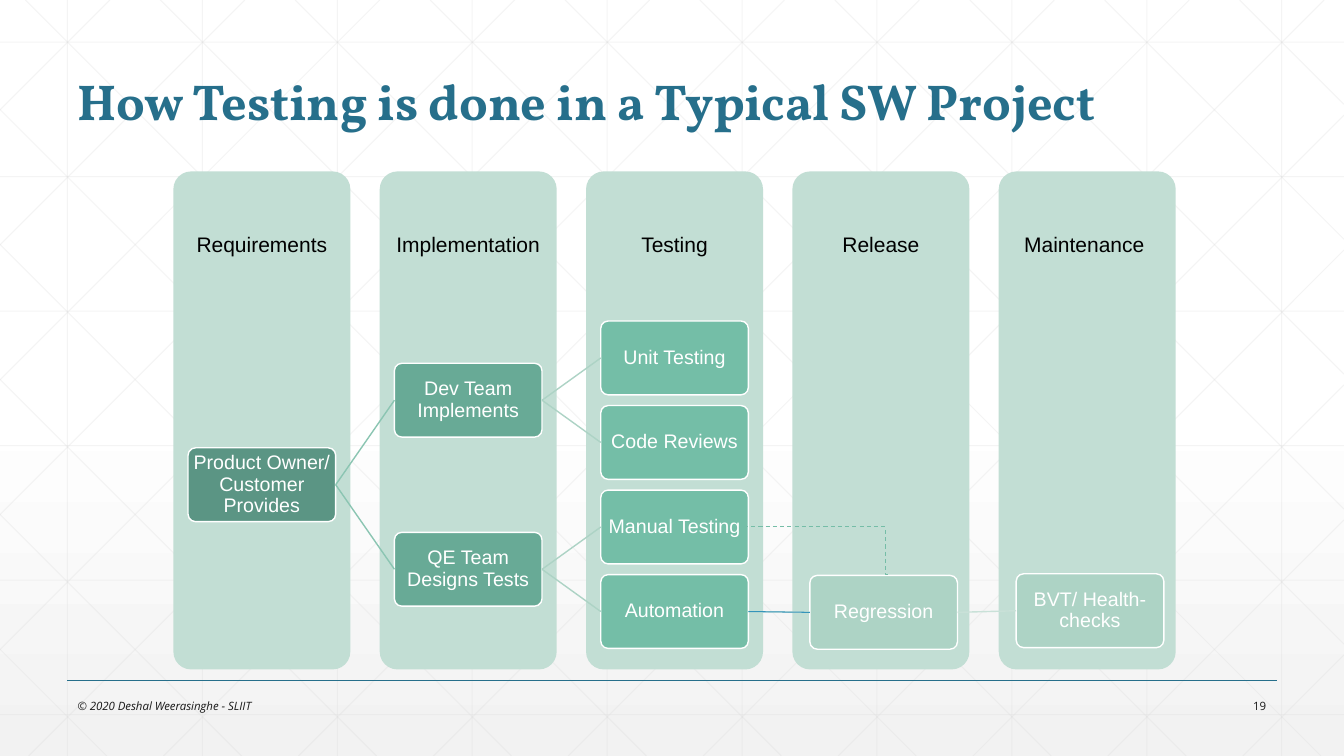
from dataclasses import dataclass

from lxml.etree import SubElement
from pptx import Presentation
from pptx.dml.color import RGBColor
from pptx.enum.dml import MSO_LINE
from pptx.enum.shapes import MSO_CONNECTOR, MSO_SHAPE
from pptx.enum.text import MSO_ANCHOR, PP_ALIGN
from pptx.oxml.ns import qn
from pptx.shapes.autoshape import Shape
from pptx.shapes.connector import Connector
from pptx.slide import Slide
from pptx.util import Cm, Pt

WIDE, HIGH = 33.87, 19.05
STEP = 3.4
TOP, SIDE = 1, 3
LEFT, PITCH = 4.37, 5.2
COL_W, COL_H, COL_TOP = 4.46, 12.55, 4.32
HEAD_H = 3.76
NODE_W, NODE_H = 3.72, 1.86
NODE_LEFT, NODE_TOP, ROW = 4.74, 8.09, 2.13

COLORS = {
    "white": "FFFFFF",
    "black": "000000",
    "fade": "F2F2F2",
    "grid": "D8D8D8",
    "title": "266F8B",
    "foot": "191919",
    "column": "C2DED4",
    "owner": "5B9584",
    "team": "68AA96",
    "test": "74BEA7",
    "late": "ADD3C5",
    "split": "8BC5B2",
    "branch": "ADD3C5",
    "pale": "C9E1D8",
    "dash": "75BDA7",
    "blue": "3494BA",
}


@dataclass
class Box:
    left: float
    top: float
    width: float
    height: float


@dataclass
class Style:
    font: str
    size: float
    color: str
    align: PP_ALIGN = PP_ALIGN.LEFT
    bold: bool = False
    italic: bool = False
    space: float = 1.0
    inset: tuple[float, float] = (0.25, 0.13)


@dataclass
class Label:
    text: str
    box: Box
    style: Style


@dataclass
class Node:
    text: str
    col: int
    row: float
    color: str
    dx: float = 0
    dy: float = 0


@dataclass
class Link:
    start: str
    end: str
    color: str
    width: float = 1


HEAD = Style("Arial", 15, "black", PP_ALIGN.CENTER, space=0.9, inset=(0.3, 0.3))
BODY = Style("Arial", 14, "white", PP_ALIGN.CENTER, space=0.9, inset=(0.08, 0.08))

LABELS = [
    Label("How Testing is done in a Typical SW Project", Box(1.7, 1.4, 30.61, 2.46),
          Style("Vollkorn", 36, "title", bold=True, space=0.9)),
    Label("© 2020 Deshal Weerasinghe - SLIIT", Box(1.7, 17.48, 17.02, 0.61),
          Style("Open Sans", 8.2, "foot", italic=True)),
    Label("19", Box(29.62, 17.48, 2.54, 0.61),
          Style("Open Sans", 8.2, "foot", PP_ALIGN.RIGHT)),
]

PHASES = ["Requirements", "Implementation", "Testing", "Release", "Maintenance "]

NODES = [
    Node("Product Owner/ Customer Provides", 0, 1.5, "owner"),
    Node("Dev Team Implements", 1, 0.5, "team"),
    Node("QE Team Designs Tests", 1, 2.5, "team"),
    Node("Unit Testing", 2, 0, "test"),
    Node("Code Reviews", 2, 1, "test"),
    Node("Manual Testing ", 2, 2, "test"),
    Node("Automation", 2, 3, "test"),
    Node("Regression", 3, 3, "late", 0.07, 0.02),
    Node("BVT/ Health-checks", 4, 3, "late", 0.07, -0.02),
]

LINKS = [
    Link("Product Owner/ Customer Provides", "Dev Team Implements", "split"),
    Link("Product Owner/ Customer Provides", "QE Team Designs Tests", "split"),
    Link("Dev Team Implements", "Unit Testing", "branch"),
    Link("Dev Team Implements", "Code Reviews", "branch"),
    Link("QE Team Designs Tests", "Manual Testing ", "branch"),
    Link("QE Team Designs Tests", "Automation", "branch"),
    Link("Automation", "Regression", "pale"),
    Link("Regression", "BVT/ Health-checks", "pale"),
    Link("Automation", "Regression", "blue", 0.75),
]


def tint(name: str) -> RGBColor:
    return RGBColor.from_string(COLORS[name])


def place(box: Box) -> tuple[Cm, Cm, Cm, Cm]:
    return Cm(box.left), Cm(box.top), Cm(box.width), Cm(box.height)


def write(shape: Shape, text: str, style: Style) -> None:
    frame = shape.text_frame
    frame.text = text
    frame.word_wrap = True
    frame.vertical_anchor = MSO_ANCHOR.MIDDLE
    frame.margin_left = frame.margin_right = Cm(style.inset[0])
    frame.margin_top = frame.margin_bottom = Cm(style.inset[1])
    line = frame.paragraphs[0]
    line.alignment = style.align
    line.line_spacing = style.space
    font = line.runs[0].font
    font.name, font.size = style.font, Pt(style.size)
    font.bold, font.italic = style.bold, style.italic
    font.color.rgb = tint(style.color)


def add_label(slide: Slide, label: Label) -> None:
    write(slide.shapes.add_textbox(*place(label.box)), label.text, label.style)


def add_card(slide: Slide, box: Box, color: str) -> Shape:
    card = slide.shapes.add_shape(MSO_SHAPE.ROUNDED_RECTANGLE, *place(box))
    card.adjustments[0] = 0.1
    card.shadow.inherit = False
    card.fill.solid()
    card.fill.fore_color.rgb = tint(color)
    card.line.fill.background()
    return card


def add_line(slide: Slide, x1: float, y1: float, x2: float, y2: float, color: str,
             width: float, kind: MSO_CONNECTOR = MSO_CONNECTOR.STRAIGHT) -> Connector:
    line = slide.shapes.add_connector(kind, Cm(x1), Cm(y1), Cm(x2), Cm(y2))
    line.line.color.rgb = tint(color)
    line.line.width = Pt(width)
    SubElement(line._element.spPr, qn("a:effectLst"))
    return line


def add_grid(slide: Slide) -> None:
    rays = [(1.7 + STEP * i, 0, 1.7 + STEP * i, HIGH) for i in range(10)]
    rays += [(0, 1.06 + 3.39 * i, WIDE, 1.06 + 3.39 * i) for i in range(6)]
    for i in range(15):
        fall, rise = 0.64 + STEP * (i - 5), 2.77 + STEP * i
        y1, y2 = max(0, -fall), min(HIGH, WIDE - fall)
        rays.append((fall + y1, y1, fall + y2, y2))
        y1, y2 = max(0, rise - WIDE), min(HIGH, rise)
        rays.append((rise - y1, y1, rise - y2, y2))
    for ray in rays:
        line = add_line(slide, *ray, "grid", 0.75)
        shade = line._element.spPr.find(".//" + qn("a:srgbClr"))
        SubElement(shade, qn("a:alpha"), val="25000")


def add_node(slide: Slide, node: Node) -> Shape:
    box = Box(NODE_LEFT + PITCH * node.col + node.dx,
              NODE_TOP + ROW * node.row + node.dy, NODE_W, NODE_H)
    card = add_card(slide, box, node.color)
    card.line.color.rgb = tint("white")
    card.line.width = Pt(1)
    write(card, node.text, BODY)
    return card


def add_link(slide: Slide, link: Link, cards: dict[str, Shape]) -> None:
    line = add_line(slide, 0, 0, 1, 1, link.color, link.width)
    line.begin_connect(cards[link.start], SIDE)
    line.end_connect(cards[link.end], TOP)


def add_bend(slide: Slide) -> None:
    bend = add_line(slide, 18.75, 13.28, 22.45, 14.48, "dash", 0.75, MSO_CONNECTOR.ELBOW)
    bend.line.dash_style = MSO_LINE.DASH
    guides = bend._element.spPr.find(".//" + qn("a:avLst"))
    SubElement(guides, qn("a:gd"), name="adj1", fmla="val 96300")


def main() -> None:
    deck = Presentation()
    deck.slide_width, deck.slide_height = Cm(WIDE), Cm(HIGH)
    slide = deck.slides.add_slide(deck.slide_layouts[6])
    fill = slide.background.fill
    fill.gradient()
    fill.gradient_angle = 270
    for stop, (spot, color) in zip(fill.gradient_stops, [(0.53, "white"), (1, "fade")]):
        stop.position = spot
        stop.color.rgb = tint(color)
    add_grid(slide)
    add_line(slide, 1.7, 17.14, 32.18, 17.14, "title", 1)
    for label in LABELS:
        add_label(slide, label)
    for i, phase in enumerate(PHASES):
        left = LEFT + PITCH * i
        add_card(slide, Box(left, COL_TOP, COL_W, COL_H), "column")
        add_label(slide, Label(phase, Box(left, COL_TOP, COL_W, HEAD_H), HEAD))
    cards = {node.text: add_node(slide, node) for node in NODES}
    for link in LINKS:
        add_link(slide, link, cards)
    add_bend(slide)
    deck.save("out.pptx")


if __name__ == "__main__":
    main()
